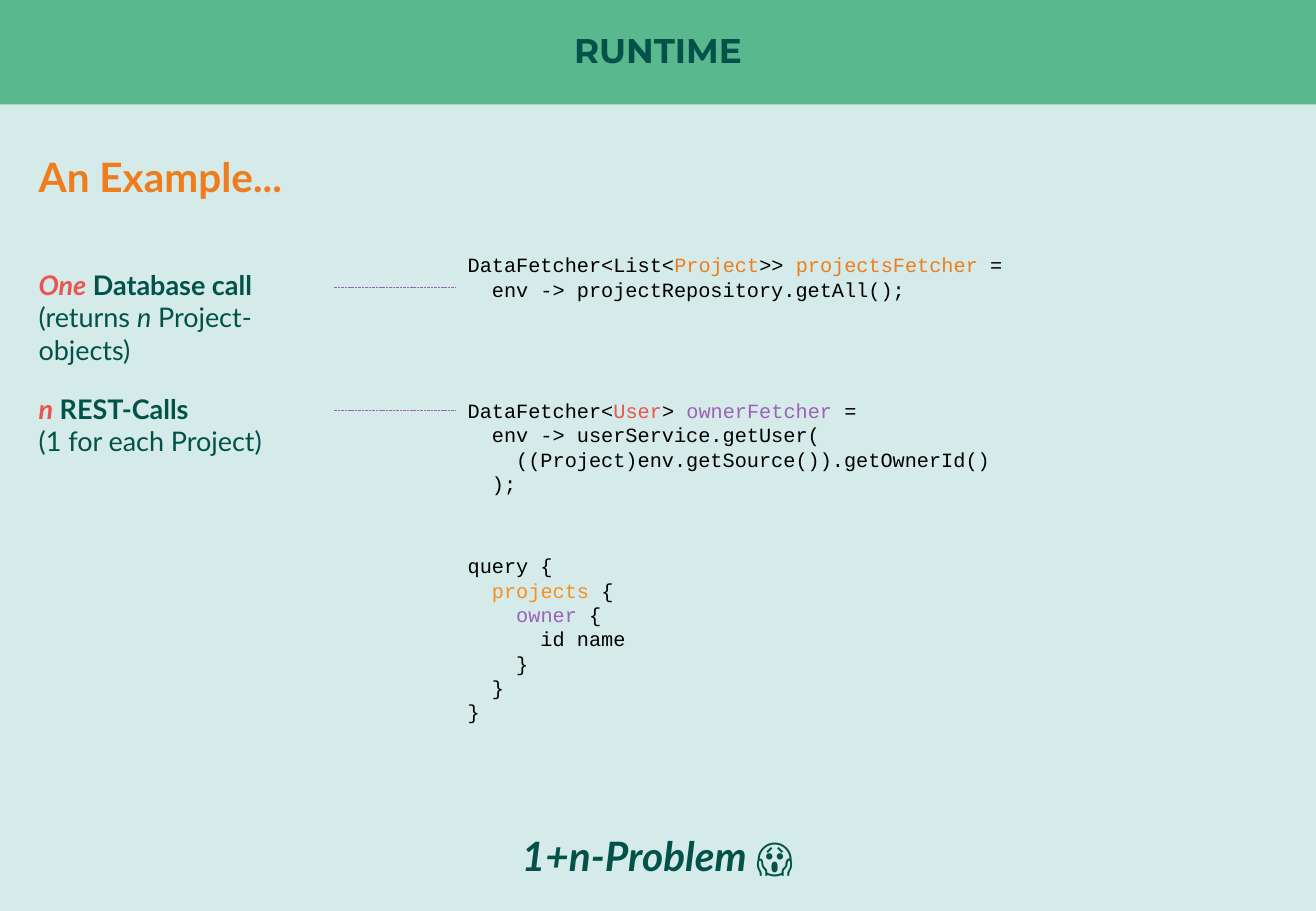
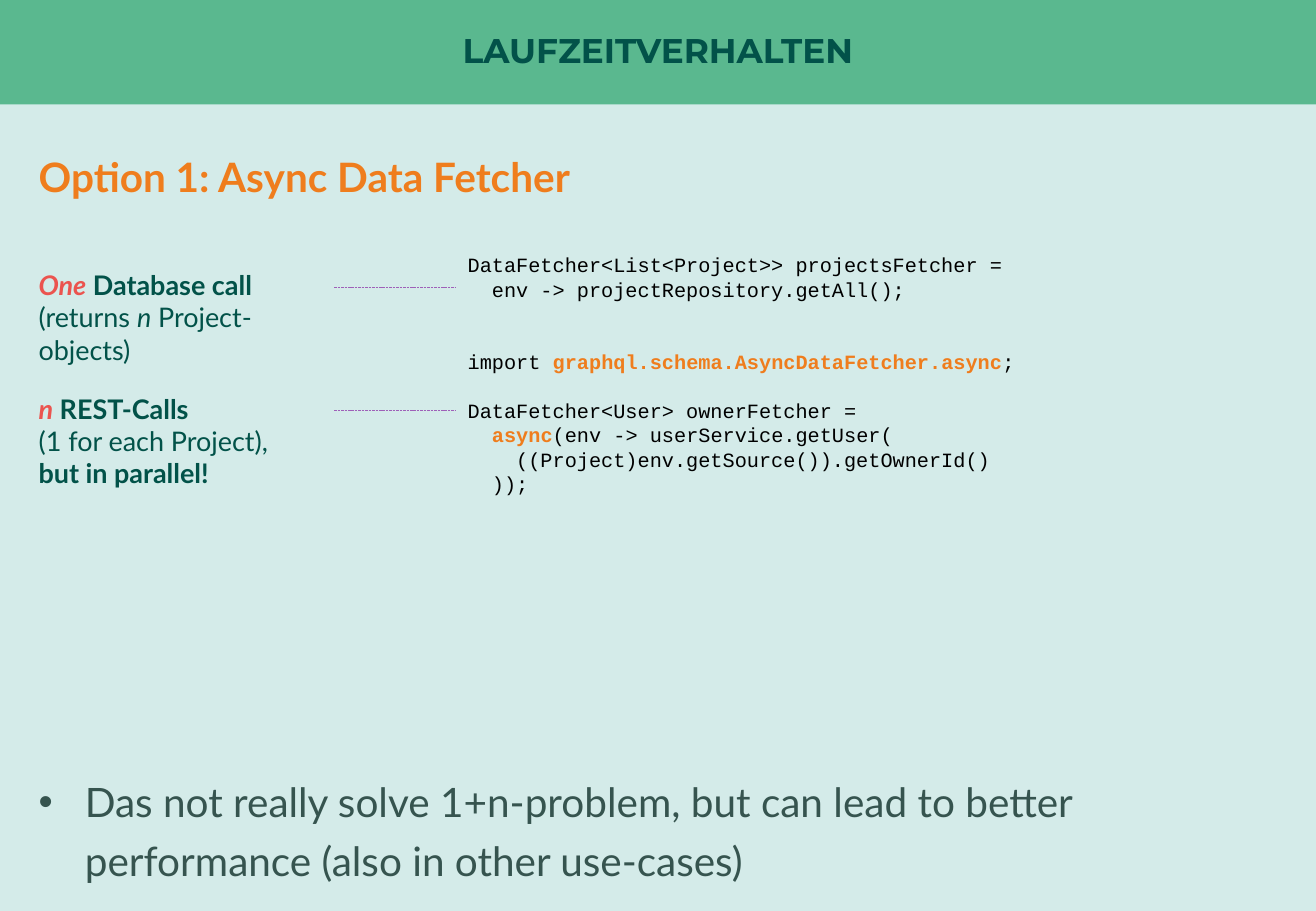
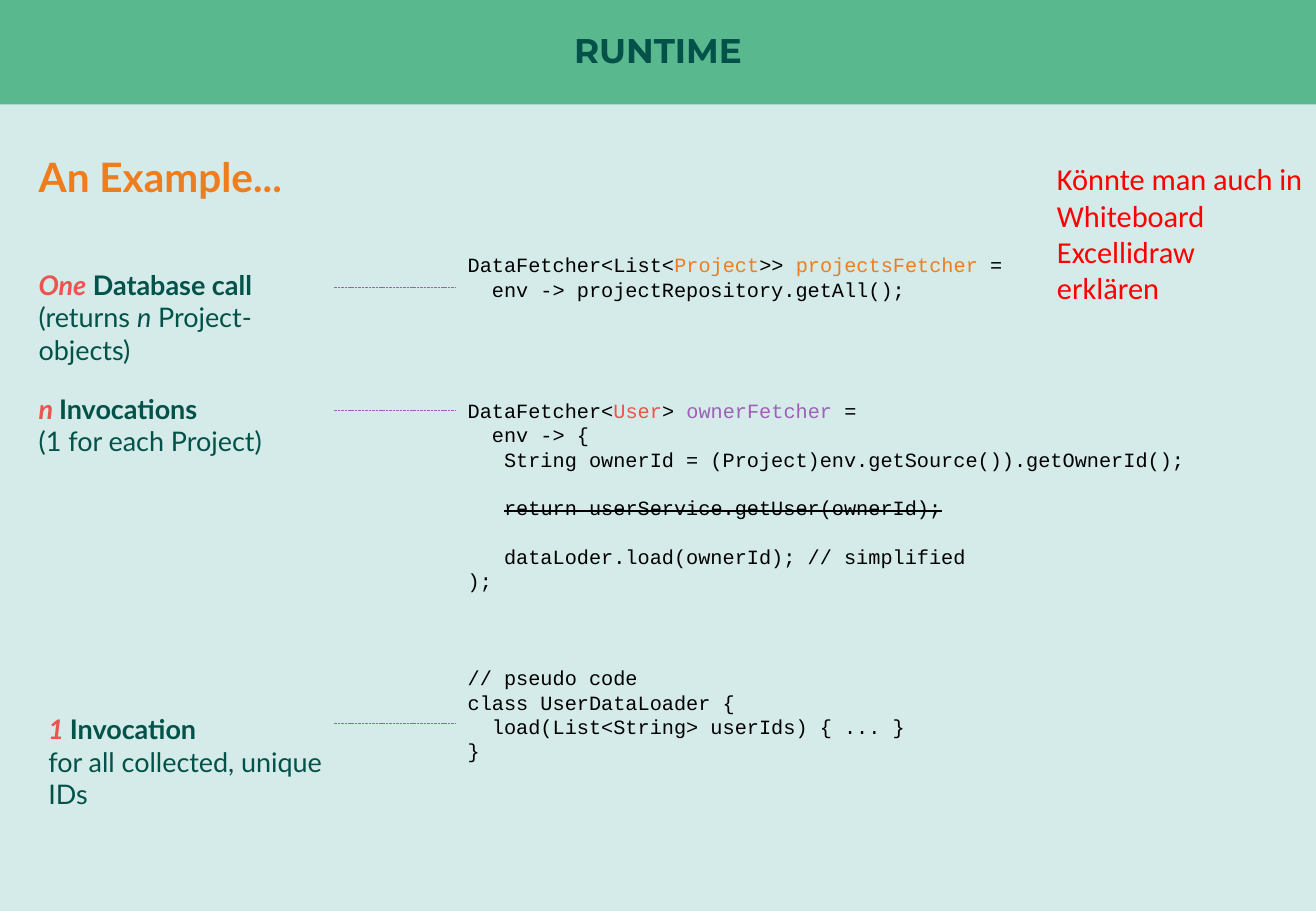
from pptx import Presentation
from pptx.dml.color import RGBColor
from pptx.enum.dml import MSO_LINE
from pptx.enum.shapes import MSO_CONNECTOR, MSO_SHAPE
from pptx.enum.text import MSO_ANCHOR, PP_ALIGN
from pptx.oxml.ns import qn
from pptx.util import Inches, Pt
from lxml import etree

RECT, STRAIGHT = MSO_SHAPE.RECTANGLE, MSO_CONNECTOR.STRAIGHT
DASH, MIDDLE = MSO_LINE.SQUARE_DOT, MSO_ANCHOR.MIDDLE
LEFT, CENTER = PP_ALIGN.LEFT, PP_ALIGN.CENTER

WIDTH, HEIGHT = 10.83, 7.5
PALE, BAND, DARK = "D4EBE9", "5AB88F", "025249"
ORANGE, RED, PURPLE = "EF7D1D", "EB544F", "9E60B8"
LINE = 14.4

TITLE = dict(name="Montserrat", size=Pt(20.3), bold=True, color=DARK)
HEADING = dict(name="Lato", size=Pt(24), bold=True, color=ORANGE)
PUNCHLINE = dict(HEADING, color=DARK, italic=True)
POINT = dict(name="Lato", size=Pt(24), color="36544F")
LABEL = dict(name="Lato", size=Pt(16), color=DARK)
CODE = dict(name="Courier New", size=Pt(12), color="000000")
REMARK = dict(name="Calibri", size=Pt(18), color="FF0000")

STRONG, SLANTED, UPRIGHT = dict(bold=True), dict(italic=True), dict(italic=False)
COUNT = dict(bold=True, italic=True, color=RED)
O, R, V = dict(color=ORANGE), dict(color=RED), dict(color=PURPLE)
KEY = dict(color=ORANGE, bold=True)
STRIKE = dict(strike=True)


def rgb(value):
    return RGBColor.from_string(value)


def add_run(p, text, style):
    r = p.add_run()
    r.text = text
    for key, value in style.items():
        if key == "color":
            r.font.color.rgb = rgb(value)
        elif key == "strike":
            r._r.get_or_add_rPr().set("strike", "sngStrike")
        else:
            setattr(r.font, key, value)


def write(tf, lines, style, **layout):
    p, gap = None, 0
    for line in lines:
        if not line:
            gap += 1
            continue
        p = tf.add_paragraph() if p else tf.paragraphs[0]
        for key, value in dict(layout, space_before=Pt(gap * LINE)).items():
            setattr(p, key, value)
        gap = 0
        for part in [line] if isinstance(line, str) else line:
            text, extra = (part, {}) if isinstance(part, str) else part
            add_run(p, text, {**style, **extra})


def text_box(s, box, lines, style, wrap=True, **layout):
    sp = s.shapes.add_textbox(*map(Inches, box))
    tf = sp.text_frame
    tf.word_wrap = wrap
    write(tf, lines, style, **layout)
    return tf


def title_band(s, text, box=(0, 0, WIDTH, 0.86)):
    sp = s.shapes.add_shape(RECT, *map(Inches, box))
    sp.shadow.inherit = False
    sp.fill.solid()
    sp.fill.fore_color.rgb = rgb(BAND)
    sp.line.fill.background()
    tf = sp.text_frame
    tf.vertical_anchor = MIDDLE
    for side in ("left", "right", "top", "bottom"):
        setattr(tf, "margin_" + side, 0)
    write(tf, [text], TITLE, alignment=CENTER, line_spacing=0.9)


def code(s, y, lines):
    text_box(s, (3.75, y, WIDTH - 3.75, 0.2 * len(lines) + 0.1), lines, CODE,
             line_spacing=Pt(LINE), alignment=LEFT)


def callout(s, x, y, line_y, lines):
    text_box(s, (x, y, 2.67, 0.27 * len(lines) + 0.1), lines, LABEL)
    ln = s.shapes.add_connector(STRAIGHT, *map(Inches, (2.75, line_y, 3.75, line_y)))
    ln.line.color.rgb = rgb(PURPLE)
    ln.line.width = Pt(0.5)
    ln.line.dash_style = DASH
    etree.SubElement(ln._element.spPr, qn("a:effectLst"))


def bullet_point(s, box, text):
    tf = text_box(s, box, [text], POINT, line_spacing=1.2)
    pPr = tf.paragraphs[0]._p.get_or_add_pPr()
    pPr.set("marL", str(Inches(0.38)))
    pPr.set("indent", str(-Inches(0.38)))
    etree.SubElement(pPr, qn("a:buFont")).set("typeface", "Arial")
    etree.SubElement(pPr, qn("a:buChar")).set("char", "•")


def runtime_slide(prs, title, heading, code_lines, calls):
    s = prs.slides.add_slide(prs.slide_layouts[6])
    title_band(s, title)
    text_box(s, (0.22, 1.12, 10.39, 0.57), [heading], HEADING, line_spacing=1.2)
    code(s, 2.03, code_lines)
    callout(s, 0.22, 2.16, 2.37, [
        [("One", COUNT), (" Database call", STRONG)],
        ["(returns ", ("n", SLANTED), " Project-objects)"]])
    callout(s, 0.22, 3.18, 3.38, calls)
    return s


GET_ALL = "  env -> projectRepository.getAll();"
GET_OWNER = "    ((Project)env.getSource()).getOwnerId()"
FETCHERS = [
    ["DataFetcher<List<", ("Project", O), ">> ", ("projectsFetcher", O), " ="],
    GET_ALL, "", "", "", "",
    ["DataFetcher<", ("User", R), "> ", ("ownerFetcher", V), " ="]]
REST_CALLS = [("n", COUNT), (" REST-Calls", STRONG)]


def problem_slide(prs):
    s = runtime_slide(
        prs, "RUNTIME", "An Example...",
        FETCHERS + ["  env -> userService.getUser(", GET_OWNER, "  );"],
        [REST_CALLS, "(1 for each Project)"])
    code(s, 4.51, [
        "query {",
        ["  ", ("projects", dict(color="FB8E20")), " {"],
        ["    ", ("owner", V), " {"],
        "      id name", "    }", "  }", "}"])
    text_box(s, (0, 6.71, WIDTH, 0.56), [["1+n-Problem ", ("😱", UPRIGHT)]],
             PUNCHLINE, alignment=CENTER, line_spacing=1.2)


def async_slide(prs):
    s = runtime_slide(
        prs, "LAUFZEITVERHALTEN", "Option 1: Async Data Fetcher",
        ["DataFetcher<List<Project>> projectsFetcher =", GET_ALL, "", "",
         ["import ", ("graphql.schema.AsyncDataFetcher.async", KEY), ";"], "",
         "DataFetcher<User> ownerFetcher =",
         ["  ", ("async", KEY), "(env -> userService.getUser("],
         GET_OWNER, "  ));"],
        [REST_CALLS, "(1 for each Project),", [("but in parallel!", STRONG)]])
    bullet_point(s, (0.22, 6.27, 10.39, 1.06),
                 "Das not really solve 1+n-problem, but can lead to better "
                 "performance (also in other use-cases)")


def loader_slide(prs):
    s = runtime_slide(
        prs, "RUNTIME", "An Example...",
        FETCHERS + [
            "  env -> {",
            "   String ownerId = (Project)env.getSource()).getOwnerId();", "",
            ["   ", ("return userService.getUser(ownerId);", STRIKE)], "",
            "   dataLoder.load(ownerId); // simplified", ");", "", "", "",
            "// pseudo code", "class UserDataLoader {",
            "  load(List<String> userIds) { ... }", "}"],
        [[("n ", COUNT), ("Invocations", STRONG)], "(1 for each Project)"])
    callout(s, 0.3, 5.82, 5.96, [
        [("1 ", COUNT), ("Invocation", STRONG)], "for all collected, unique IDs"])
    text_box(s, (8.6, 1.27, 2.23, 1.31),
             ["Könnte man auch in", "Whiteboard", "Excellidraw", "erklären"],
             REMARK, wrap=False)


def main():
    prs = Presentation()
    prs.slide_width, prs.slide_height = Inches(WIDTH), Inches(HEIGHT)
    fill = prs.slide_master.background.fill
    fill.solid()
    fill.fore_color.rgb = rgb(PALE)
    for build in (problem_slide, async_slide, loader_slide):
        build(prs)
    prs.save("out.pptx")


if __name__ == "__main__":
    main()
